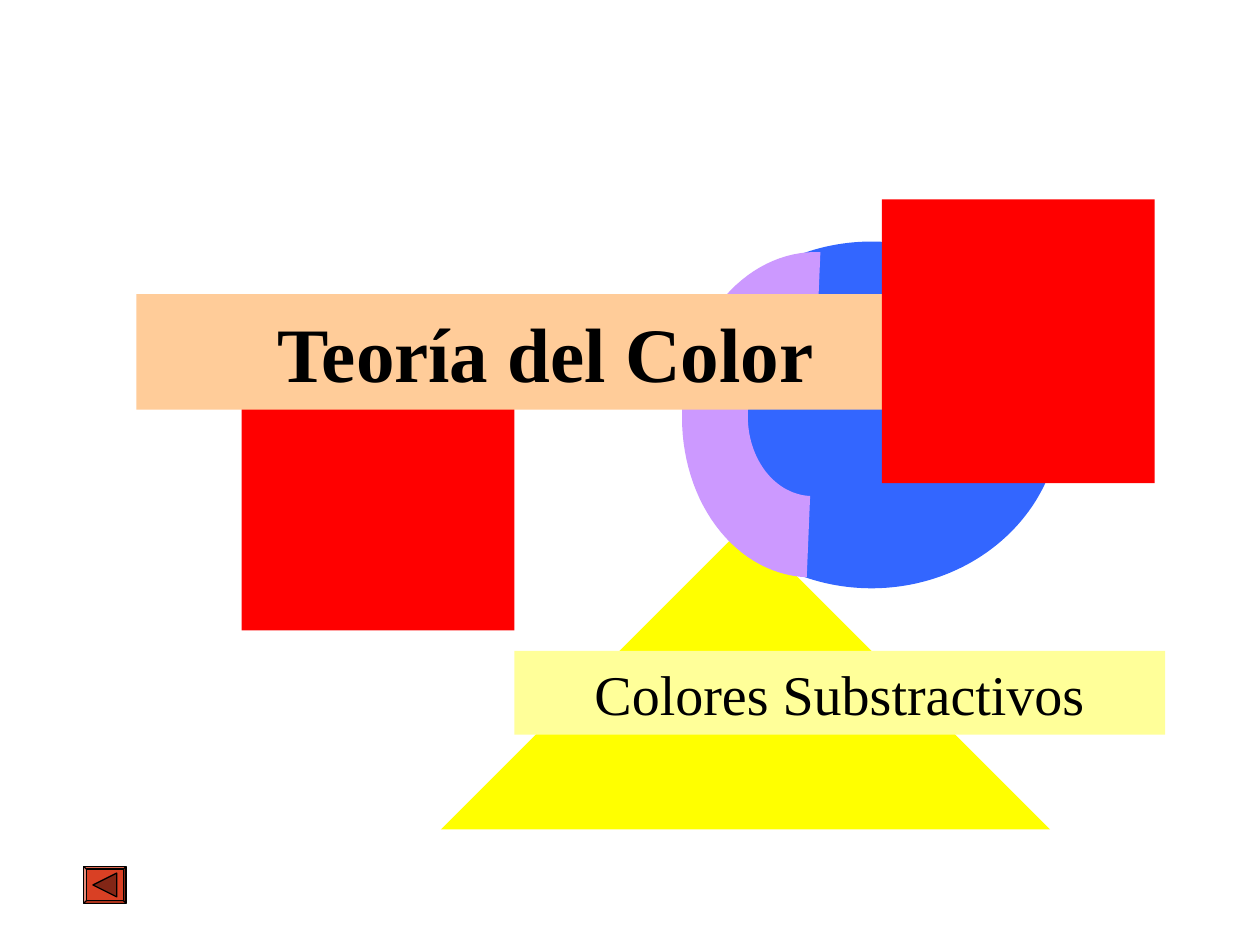
"""Build the title slide "Teoría del Color" from overlapping coloured shapes."""
from math import cos, pi, radians, sin

from pptx import Presentation
from pptx.dml.color import RGBColor
from pptx.enum.shapes import MSO_SHAPE
from pptx.enum.text import MSO_ANCHOR, PP_ALIGN
from pptx.util import Cm, Pt

RECTANGLE = MSO_SHAPE.RECTANGLE
TRIANGLE = MSO_SHAPE.ISOSCELES_TRIANGLE
OVAL = MSO_SHAPE.OVAL
BEVEL = MSO_SHAPE.BEVEL
MIDDLE = MSO_ANCHOR.MIDDLE
CENTER = PP_ALIGN.CENTER

THEME = {
    "font": "Times New Roman",
    "title_size": 44,
    "subtitle_size": 32,
    "text": "000000",
    "red": "FF0000",
    "yellow": "FFFF00",
    "blue": "3366FF",
    "violet": "CC99FF",
    "peach": "FFCC99",
    "cream": "FFFF99",
    "button": "D94024",
    "arrow": "822616",
}

SLIDE_SIZE = (25.4, 19.05)
SQUARE_SIZE = (5.5, 5.72)
BUTTON = (1.69, 17.47, 0.85, 0.74)
ARROW_SIZE = 0.48
BACK_SHAPES = [
    (RECTANGLE, (4.87, 6.99, *SQUARE_SIZE), "red"),
    (TRIANGLE, (8.89, 10.58, 12.28, 6.14), "yellow"),
    (OVAL, (13.76, 4.87, 7.62, 6.99), "blue"),
]
HALF_RING = {"center": (16.4, 8.36), "radii": (3.28, 2.65), "hole": 0.5, "rotation": 272.4}
LABELS = [
    ("Colores Substractivos", (10.37, 13.12, 13.12, 1.69), "cream", "subtitle_size", False),
    ("Teoría del Color", (2.75, 5.93, 16.51, 2.33), "peach", "title_size", True),
]
FRONT_SQUARE = (RECTANGLE, (17.78, 4.02, *SQUARE_SIZE), "red")


def color(name):
    return RGBColor.from_string(THEME[name])


def paint(shape, fill, outlined=False):
    shape.shadow.inherit = False
    shape.fill.solid()
    shape.fill.fore_color.rgb = color(fill)
    if outlined:
        shape.line.color.rgb = color("text")
        shape.line.width = Pt(0.75)
    else:
        shape.line.fill.background()


def add_figure(slide, kind, box, fill, outlined=False):
    shape = slide.shapes.add_shape(kind, *map(Cm, box))
    paint(shape, fill, outlined)
    return shape


def add_label(slide, text, box, fill, size, bold):
    frame = add_figure(slide, RECTANGLE, box, fill).text_frame
    frame.word_wrap = True
    frame.vertical_anchor = MIDDLE
    paragraph = frame.paragraphs[0]
    paragraph.text = text
    paragraph.alignment = CENTER
    paragraph.font.name = THEME["font"]
    paragraph.font.size = Pt(THEME[size])
    paragraph.font.bold = bold
    paragraph.font.color.rgb = color("text")


def add_half_ring(slide, center, radii, hole, rotation, steps=60):
    turn = radians(rotation)

    def point(scale, step):
        angle = pi * step / steps
        x = scale * radii[0] * cos(angle)
        y = -scale * radii[1] * sin(angle)
        return (Cm(center[0] + x * cos(turn) - y * sin(turn)),
                Cm(center[1] + x * sin(turn) + y * cos(turn)))

    outer = [point(1, step) for step in range(steps + 1)]
    inner = [point(hole, step) for step in range(steps, -1, -1)]
    builder = slide.shapes.build_freeform(*outer[0])
    builder.add_line_segments(outer[1:] + inner, close=True)
    paint(builder.convert_to_shape(), "violet")


def add_back_button(slide):
    left, top, width, height = BUTTON
    add_figure(slide, BEVEL, BUTTON, "button", True).adjustments[0] = 0.07
    arrow_box = (left + (width - ARROW_SIZE) / 2, top + (height - ARROW_SIZE) / 2,
                 ARROW_SIZE, ARROW_SIZE)
    add_figure(slide, TRIANGLE, arrow_box, "arrow", True).rotation = 270


def main():
    presentation = Presentation()
    presentation.slide_width, presentation.slide_height = map(Cm, SLIDE_SIZE)
    slide = presentation.slides.add_slide(presentation.slide_layouts[6])
    add_back_button(slide)
    for figure in BACK_SHAPES:
        add_figure(slide, *figure)
    add_half_ring(slide, **HALF_RING)
    for label in LABELS:
        add_label(slide, *label)
    add_figure(slide, *FRONT_SQUARE)
    presentation.save("out.pptx")


if __name__ == "__main__":
    main()
